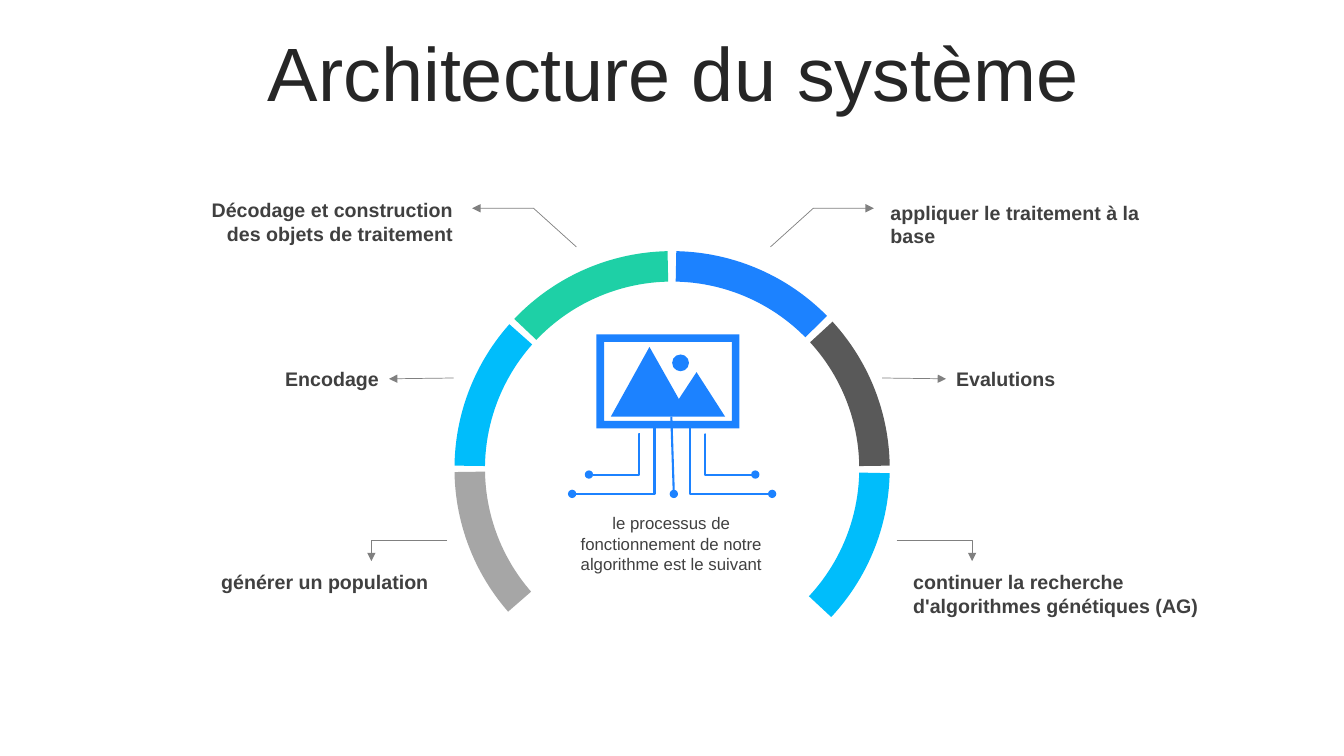
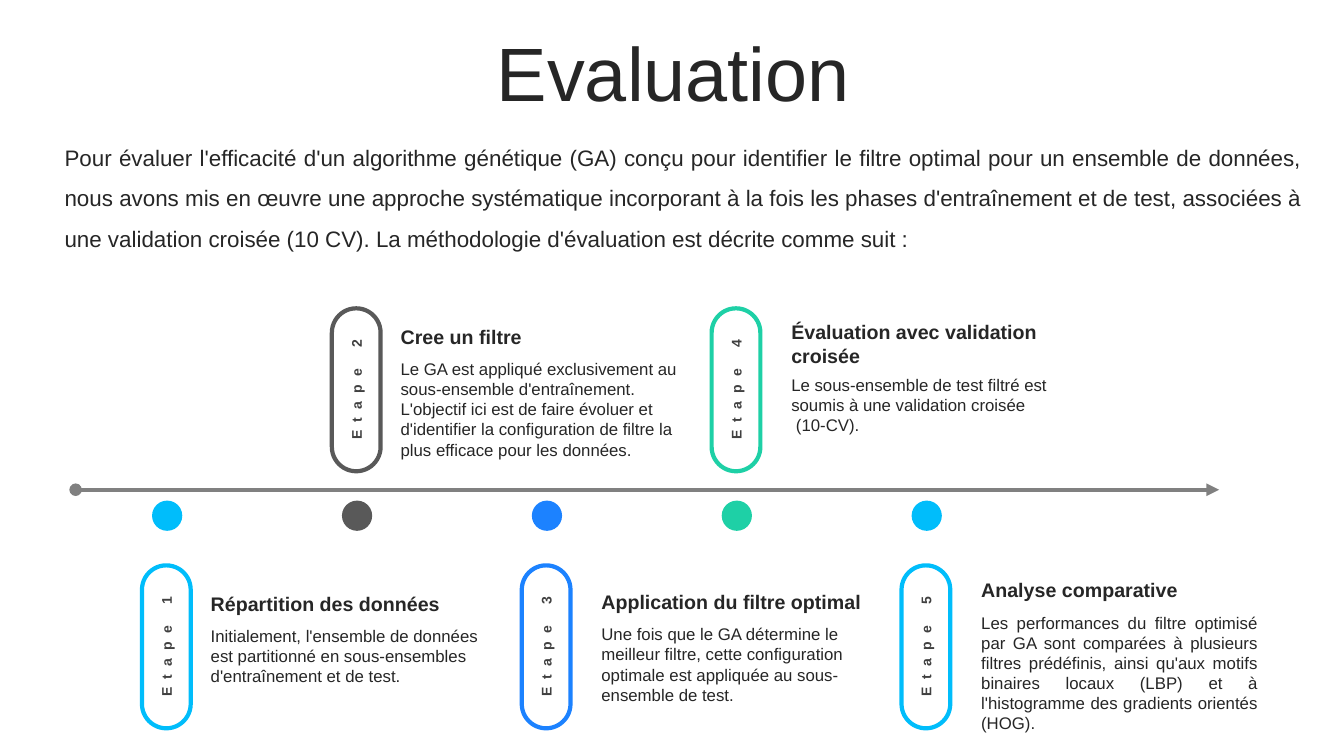
from dataclasses import dataclass

from lxml.etree import SubElement
from pptx import Presentation
from pptx.dml.color import RGBColor
from pptx.enum.shapes import MSO_CONNECTOR as Connector, MSO_SHAPE as Preset
from pptx.enum.text import MSO_ANCHOR as Anchor, PP_ALIGN as Align
from pptx.oxml.ns import qn
from pptx.util import Inches, Pt


@dataclass(frozen=True)
class Theme:
    font: str = "Arial"
    cyan: str = "00BDFB"
    blue: str = "1C82FF"
    green: str = "1ED0A6"
    dark: str = "595959"
    silver: str = "A6A6A6"
    line: str = "808080"
    ink: str = "262626"
    soft_ink: str = "404040"
    white: str = "FFFFFF"
    title_size: int = 54
    intro_size: int = 16
    heading_size: int = 14
    body_size: int = 12
    tag_size: int = 10
    tag_spacing: int = 6
    thin: float = 0.5
    medium: float = 1.5
    thick: float = 3


THEME = Theme()
COLUMNS, ROWS = 16, 9
LINE_HEIGHT, TWO_LINES, BODY_HEIGHT = 0.41, 0.68, 0.85


class Deck:
    """Draws on the current slide; all lengths are cells of a 16 by 9 grid."""

    def __init__(self, theme):
        self.theme = theme
        self.presentation = Presentation()
        self.presentation.slide_width = Inches(13.33)
        self.presentation.slide_height = Inches(7.5)
        self.cell = self.presentation.slide_height / ROWS
        self.shapes = None

    def units(self, *cells):
        return [round(value * self.cell) for value in cells]

    def new_slide(self, title):
        layout = self.presentation.slide_layouts[6]
        self.shapes = self.presentation.slides.add_slide(layout).shapes
        self.text((0.42, 0.44, 15.19, 0.95), title, self.theme.title_size,
                  align=Align.CENTER, anchor=Anchor.MIDDLE, spacing=0.9)

    def set_text(self, frame, text, size, color, bold=False, align=Align.LEFT, spacing=None):
        frame.text = text
        for paragraph in frame.paragraphs:
            paragraph.alignment = align
            if spacing:
                paragraph.line_spacing = spacing
            font = paragraph.font
            font.name, font.size, font.bold = self.theme.font, Pt(size), bold
            font.color.rgb = RGBColor.from_string(color)

    def text(self, box, text, size, color=None, anchor=Anchor.TOP, **style):
        frame = self.shapes.add_textbox(*self.units(*box)).text_frame
        frame.word_wrap = True
        frame.vertical_anchor = anchor
        self.set_text(frame, text, size, color or self.theme.ink, **style)

    def fill(self, shape, color):
        shape.shadow.inherit = False
        shape.fill.solid()
        shape.fill.fore_color.rgb = RGBColor.from_string(color)
        shape.line.fill.background()

    def stroke(self, shape, color, width, head=None, tail=None):
        shape.line.color.rgb = RGBColor.from_string(color)
        shape.line.width = Pt(width)
        for tag, kind in (("a:headEnd", head), ("a:tailEnd", tail)):
            if kind:
                SubElement(shape.line._get_or_add_ln(), qn(tag), type=kind)

    def shape(self, preset, box, color, adjustments=()):
        shape = self.shapes.add_shape(preset, *self.units(*box))
        self.fill(shape, color)
        for index, value in enumerate(adjustments):
            shape.adjustments[index] = value
        return shape

    def dot(self, center_x, center_y, diameter, color):
        radius = diameter / 2
        self.shape(Preset.OVAL, (center_x - radius, center_y - radius, diameter, diameter), color)

    def arc(self, center_x, center_y, radius, start, end, color):
        """Ring segment; angles in degrees, clockwise from the right."""
        box = (center_x - radius, center_y - radius, 2 * radius, 2 * radius)
        self.shape(Preset.BLOCK_ARC, box, color, (start * 0.6, end * 0.6, 0.07))

    def outline(self, points, closed):
        start, *others = [self.units(*point) for point in points]
        builder = self.shapes.build_freeform(*start)
        builder.add_line_segments(others, close=closed)
        return builder.convert_to_shape()

    def polygon(self, points, color):
        self.fill(self.outline(points, True), color)

    def connector(self, start, end, color, width, kind=Connector.STRAIGHT, **ends):
        connector = self.shapes.add_connector(kind, *self.units(*start, *end))
        properties = connector._element.spPr
        if kind == Connector.ELBOW:
            # The bend sits right at the start
            guides = properties.find(qn("a:prstGeom")).get_or_add_avLst()
            SubElement(guides, qn("a:gd"), name="adj1", fmla="val 1000")
        self.stroke(connector, color, width, **ends)
        SubElement(properties, qn("a:effectLst"))

    def leader(self, points):
        """Thin arrow along the points."""
        theme = self.theme
        if len(points) == 2:
            self.connector(*points, theme.line, theme.thin, tail="triangle")
            return
        shape = self.outline(points, False)
        shape.shadow.inherit = False
        shape.fill.background()
        self.stroke(shape, theme.line, theme.thin, tail="triangle")

    def pill(self, center_x, center_y, label, color):
        theme, width, height = self.theme, 1.94, 0.58
        box = (center_x - width / 2, center_y - height / 2, width, height)
        shape = self.shape(Preset.ROUNDED_RECTANGLE, box, theme.white, (0.5,))
        shape.rotation = 270
        self.stroke(shape, color, theme.thick)
        frame = shape.text_frame
        frame.vertical_anchor = Anchor.MIDDLE
        self.set_text(frame, label, theme.tag_size, theme.soft_ink, bold=True,
                      align=Align.CENTER)
        run = frame.paragraphs[0].runs[0]
        run._r.get_or_add_rPr().set("spc", str(theme.tag_spacing * 100))


def draw_circuit_icon(deck, axis):
    """Framed landscape with five circuit traces below it."""
    blue, width = deck.theme.blue, deck.theme.medium
    for side in (1, -1):
        for near, top, far, bottom in ((0.39, 5.17, 0.99, 5.65), (0.2, 5.09, 1.19, 5.88)):
            deck.connector((axis + side * near, top), (axis + side * far, bottom),
                           blue, width, Connector.ELBOW, tail="oval")
    deck.connector((axis - 0.01, 4.96), (axis + 0.02, 5.88), blue, width, tail="oval")
    deck.shape(Preset.FRAME, (7.1, 3.98, 1.7, 1.12), blue, (0.08,))
    deck.dot(8.1, 4.32, 0.2, blue)
    deck.polygon([(7.73, 4.13), (8.08, 4.75), (8.29, 4.43), (8.63, 4.96), (7.27, 4.96)], blue)


def draw_architecture(deck):
    theme, axis = deck.theme, COLUMNS / 2
    deck.new_slide("Architecture du système")
    for start, end, color in (
        (1.2, 43, theme.cyan), (138.9, 179.1, theme.silver), (180.8, 221.6, theme.cyan),
        (317.5, 359.2, theme.dark), (223.5, 268.8, theme.green), (271.1, 315.4, theme.blue),
    ):
        deck.arc(axis, 5.58, 2.59, start, end, color)

    callouts = (
        ("appliquer le traitement à la base", Align.LEFT, 10.48, 2.33,
         [(9.17, 2.94), (9.68, 2.48), (10.4, 2.48)]),
        ("Evalutions", Align.LEFT, 11.26, 4.31, [(10.5, 4.5), (11.26, 4.51)]),
        ("continuer la recherche d'algorithmes génétiques (AG)", Align.LEFT, 10.75, 6.73,
         [(10.67, 6.43), (11.57, 6.43), (11.57, 6.68)]),
        ("Décodage et construction des objets de traitement", Align.RIGHT, 1.96, 2.3,
         [(6.86, 2.94), (6.35, 2.48), (5.62, 2.48)]),
        ("Encodage", Align.RIGHT, 1.08, 4.31, [(5.4, 4.5), (4.63, 4.51)]),
        ("générer un population", Align.RIGHT, 1.67, 6.73,
         [(5.32, 6.43), (4.42, 6.43), (4.42, 6.68)]),
    )
    for label, align, left, top, points in callouts:
        width = 3.71 if align == Align.LEFT else 3.55
        deck.text((left, top, width, TWO_LINES), label, theme.heading_size,
                  theme.soft_ink, bold=True, align=align)
        deck.leader(points)

    deck.text((6.62, 6.05, 2.74, BODY_HEIGHT),
              "le processus de fonctionnement de notre algorithme est le suivant",
              theme.body_size, theme.soft_ink, align=Align.CENTER)
    draw_circuit_icon(deck, axis)


def draw_evaluation(deck):
    theme = deck.theme
    deck.new_slide("Evaluation")
    deck.text(
        (0.65, 1.5, 14.96, 1.8),
        "Pour évaluer l'efficacité d'un algorithme génétique (GA) conçu pour identifier le "
        "filtre optimal pour un ensemble de données, nous avons mis en œuvre une approche "
        "systématique incorporant à la fois les phases d'entraînement et de test, associées à "
        "une validation croisée (10 CV). La méthodologie d'évaluation est décrite comme suit :",
        theme.intro_size, align=Align.JUSTIFY, spacing=1.5)
    deck.connector((0.9, 5.83), (14.51, 5.83), theme.line, theme.thick,
                   head="oval", tail="triangle")

    steps = (
        (theme.cyan, 0.4, 6.98, LINE_HEIGHT, Align.LEFT, "Répartition des données",
         "Initialement, l'ensemble de données est partitionné en sous-ensembles "
         "d'entraînement et de test."),
        (theme.dark, 0.4, 3.8, LINE_HEIGHT, Align.LEFT, "Cree un filtre",
         "Le GA est appliqué exclusivement au sous-ensemble d'entraînement. L'objectif ici "
         "est de faire évoluer et d'identifier la configuration de filtre la plus efficace "
         "pour les données."),
        (theme.blue, 0.53, 6.96, LINE_HEIGHT, Align.LEFT, "Application du filtre optimal",
         "Une fois que le GA détermine le meilleur filtre, cette configuration optimale est "
         "appliquée au sous-ensemble de test."),
        (theme.green, 0.53, 3.78, 0.62, Align.LEFT, "Évaluation avec validation croisée",
         "Le sous-ensemble de test filtré est soumis à une validation croisée\n (10-CV)."),
        (theme.cyan, 0.53, 6.82, LINE_HEIGHT, Align.JUSTIFY, "Analyse comparative",
         "Les performances du filtre optimisé par GA sont comparées à plusieurs filtres "
         "prédéfinis, ainsi qu'aux motifs binaires locaux (LBP) et à l'histogramme des "
         "gradients orientés (HOG)."),
    )
    first_center, pitch, text_width = 1.99, 2.26, 3.53
    for index, (color, gap, top, height, align, heading, body) in enumerate(steps):
        center = first_center + index * pitch
        left = center + gap
        deck.dot(center, 6.14, 0.36, color)
        deck.pill(center - 0.01, 4.64 if index % 2 else 7.7, f"Etape {index + 1}", color)
        deck.text((left, top, text_width, height), heading, theme.heading_size,
                  anchor=Anchor.MIDDLE, bold=True)
        deck.text((left, top + height, text_width, BODY_HEIGHT), body, theme.body_size,
                  align=align)


def main():
    deck = Deck(THEME)
    draw_architecture(deck)
    draw_evaluation(deck)
    deck.presentation.save("out.pptx")


if __name__ == "__main__":
    main()
